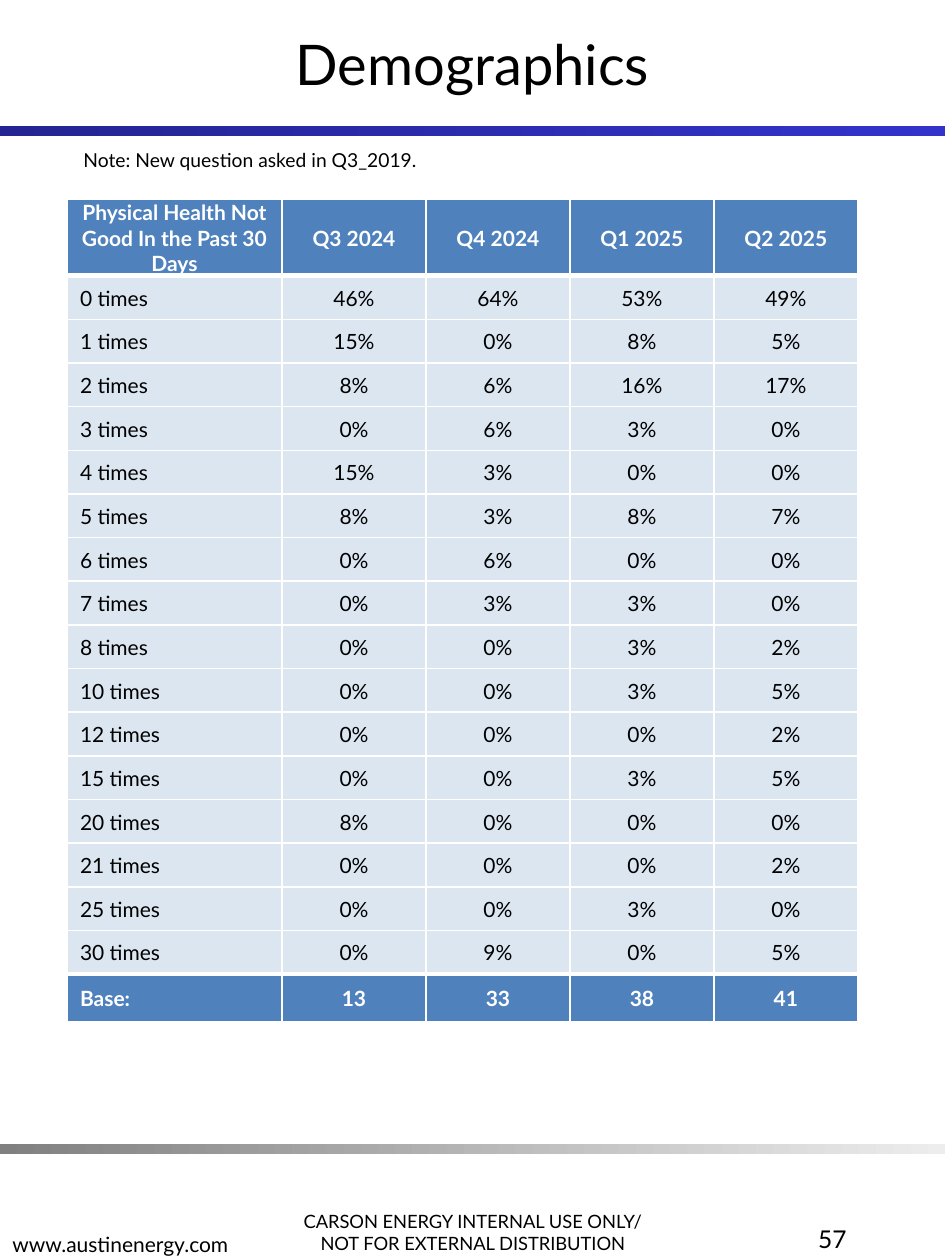
from typing import NamedTuple

from lxml import etree
from pptx import Presentation
from pptx.dml.color import RGBColor
from pptx.enum.shapes import MSO_SHAPE
from pptx.enum.text import MSO_ANCHOR, PP_ALIGN
from pptx.oxml.ns import qn
from pptx.util import Pt

RECT = MSO_SHAPE.RECTANGLE
TOP, MID, LOW = MSO_ANCHOR.TOP, MSO_ANCHOR.MIDDLE, MSO_ANCHOR.BOTTOM
LEFT, MID_X, RIGHT = PP_ALIGN.LEFT, PP_ALIGN.CENTER, PP_ALIGN.RIGHT
SCALE = 914400 / 126
FONT = "Lato"
BLACK, WHITE, BLUE, PALE = "000000", "FFFFFF", "4F81BD", "DCE6F1"


class Box(NamedTuple):
    x: int
    y: int
    w: int
    h: int


class Bar(NamedTuple):
    box: Box
    start: str
    end: str


class Label(NamedTuple):
    box: Box
    text: str
    size: float
    align: PP_ALIGN = LEFT
    anchor: MSO_ANCHOR = TOP


class Look(NamedTuple):
    fill: str
    ink: str
    bold: bool
    top: int = 1
    low: int = 1


BARS = [
    Bar(Box(0, 126, 945, 10), "242492", "3333CC"),
    Bar(Box(0, 1144, 945, 10), "808080", "EDEDED"),
]
LABELS = [
    Label(Box(272, 1176, 402, 84),
          "CARSON ENERGY INTERNAL USE ONLY/\nNOT FOR EXTERNAL DISTRIBUTION",
          10.5, MID_X, LOW),
    Label(Box(0, 1179, 402, 84), "www.austinenergy.com", 12, LEFT, LOW),
    Label(Box(0, 0, 945, 126), "Demographics", 32, MID_X, MID),
    Label(Box(662, 1218, 197, 84), "57", 14, RIGHT),
    Label(Box(71, 142, 811, 37), "Note: New question asked in Q3_2019.", 11),
]

# Table content: days, then the share in each quarter
HEAD = ["Physical Health Not Good In the Past 30 Days",
        "Q3 2024", "Q4 2024", "Q1 2025", "Q2 2025"]
SHARES = {
    0: (46, 64, 53, 49), 1: (15, 0, 8, 5), 2: (8, 6, 16, 17),
    3: (0, 6, 3, 0), 4: (15, 3, 0, 0), 5: (8, 3, 8, 7),
    6: (0, 6, 0, 0), 7: (0, 3, 3, 0), 8: (0, 0, 3, 2),
    10: (0, 0, 3, 5), 12: (0, 0, 0, 2), 15: (0, 0, 3, 5),
    20: (8, 0, 0, 0), 21: (0, 0, 0, 2), 25: (0, 0, 3, 0),
    30: (0, 9, 0, 5),
}
BASE = ["Base:", "13", "33", "38", "41"]
GRID = Box(67, 199, 791, 823)
COLS = [215] + [144] * 4
HEAD_H, BASE_H = 76, 48
HEAD_LOOK = Look(BLUE, WHITE, True, low=3)
BODY_LOOK = Look(PALE, BLACK, False)
BASE_LOOK = Look(BLUE, WHITE, True, top=3)


def emu(px: int) -> int:
    return round(px * SCALE)


def rgb(code: str) -> RGBColor:
    return RGBColor.from_string(code)


def place(box: Box) -> list[int]:
    return [emu(px) for px in box]


def style(frame, size: float, ink: str, align: PP_ALIGN, bold: bool = False) -> None:
    for para in frame.paragraphs:
        para.alignment = align
        for run in para.runs:
            run.font.name = FONT
            run.font.size = Pt(size)
            run.font.bold = bold
            run.font.color.rgb = rgb(ink)


def draw_bar(slide, bar: Bar) -> None:
    shape = slide.shapes.add_shape(RECT, *place(bar.box))
    shape.shadow.inherit = False
    shape.line.fill.background()
    shape.fill.gradient()
    shape.fill.gradient_angle = 0
    for stop, code in zip(shape.fill.gradient_stops, (bar.start, bar.end)):
        stop.color.rgb = rgb(code)


def draw_label(slide, label: Label) -> None:
    frame = slide.shapes.add_textbox(*place(label.box)).text_frame
    frame.word_wrap = True
    frame.vertical_anchor = label.anchor
    frame.text = label.text
    style(frame, label.size, BLACK, label.align)


def set_edges(cell, top: int, low: int) -> None:
    props = cell._tc.get_or_add_tcPr()
    edges = {"a:lnL": 1, "a:lnR": 1, "a:lnT": top, "a:lnB": low}
    for spot, (tag, width) in enumerate(edges.items()):
        line = etree.Element(qn(tag), w=str(Pt(width)))
        fill = etree.SubElement(line, qn("a:solidFill"))
        etree.SubElement(fill, qn("a:srgbClr"), val=WHITE)
        props.insert(spot, line)


def fill_cell(cell, text: str, look: Look, align: PP_ALIGN, inset: int) -> None:
    cell.text_frame.text = text
    cell.vertical_anchor = MID
    cell.margin_left = emu(inset)
    cell.margin_top = cell.margin_right = emu(1)
    cell.margin_bottom = 0
    cell.fill.solid()
    cell.fill.fore_color.rgb = rgb(look.fill)
    style(cell.text_frame, 12, look.ink, align, look.bold)
    set_edges(cell, look.top, look.low)


def draw_table(slide) -> None:
    body = [[f"{days} times"] + [f"{share}%" for share in shares]
            for days, shares in SHARES.items()]
    rows = [HEAD, *body, BASE]
    looks = [HEAD_LOOK] + [BODY_LOOK] * len(body) + [BASE_LOOK]
    step = emu(GRID.h - HEAD_H - BASE_H) // len(body)
    highs = [emu(HEAD_H)] + [step] * len(body) + [emu(BASE_H)]

    table = slide.shapes.add_table(len(rows), len(COLS), *place(GRID)).table
    table.first_row = table.horz_banding = False
    for col, width in zip(table.columns, COLS):
        col.width = emu(width)
    for r, (texts, look, high) in enumerate(zip(rows, looks, highs)):
        table.rows[r].height = high
        for c, text in enumerate(texts):
            side = c == 0 and r > 0
            fill_cell(table.cell(r, c), text, look,
                      LEFT if side else MID_X, 13 if side else 1)


def main() -> None:
    deck = Presentation()
    deck.slide_width, deck.slide_height = emu(945), emu(1260)
    slide = deck.slides.add_slide(deck.slide_layouts[6])

    # Rules across the page
    for bar in BARS:
        draw_bar(slide, bar)
    # Title, note and footer
    for label in LABELS:
        draw_label(slide, label)
    # Answers by quarter
    draw_table(slide)

    deck.save("out.pptx")


if __name__ == "__main__":
    main()
